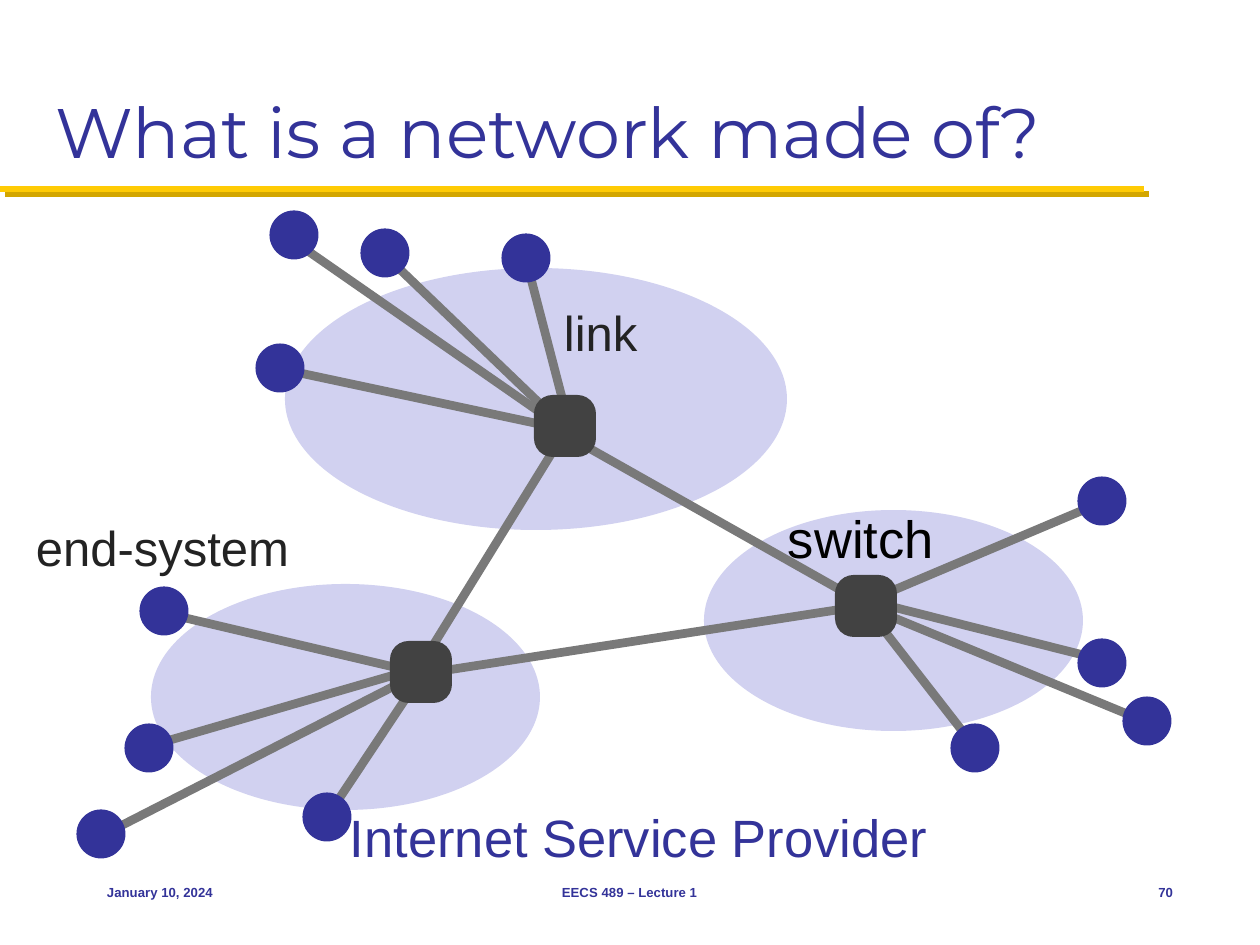
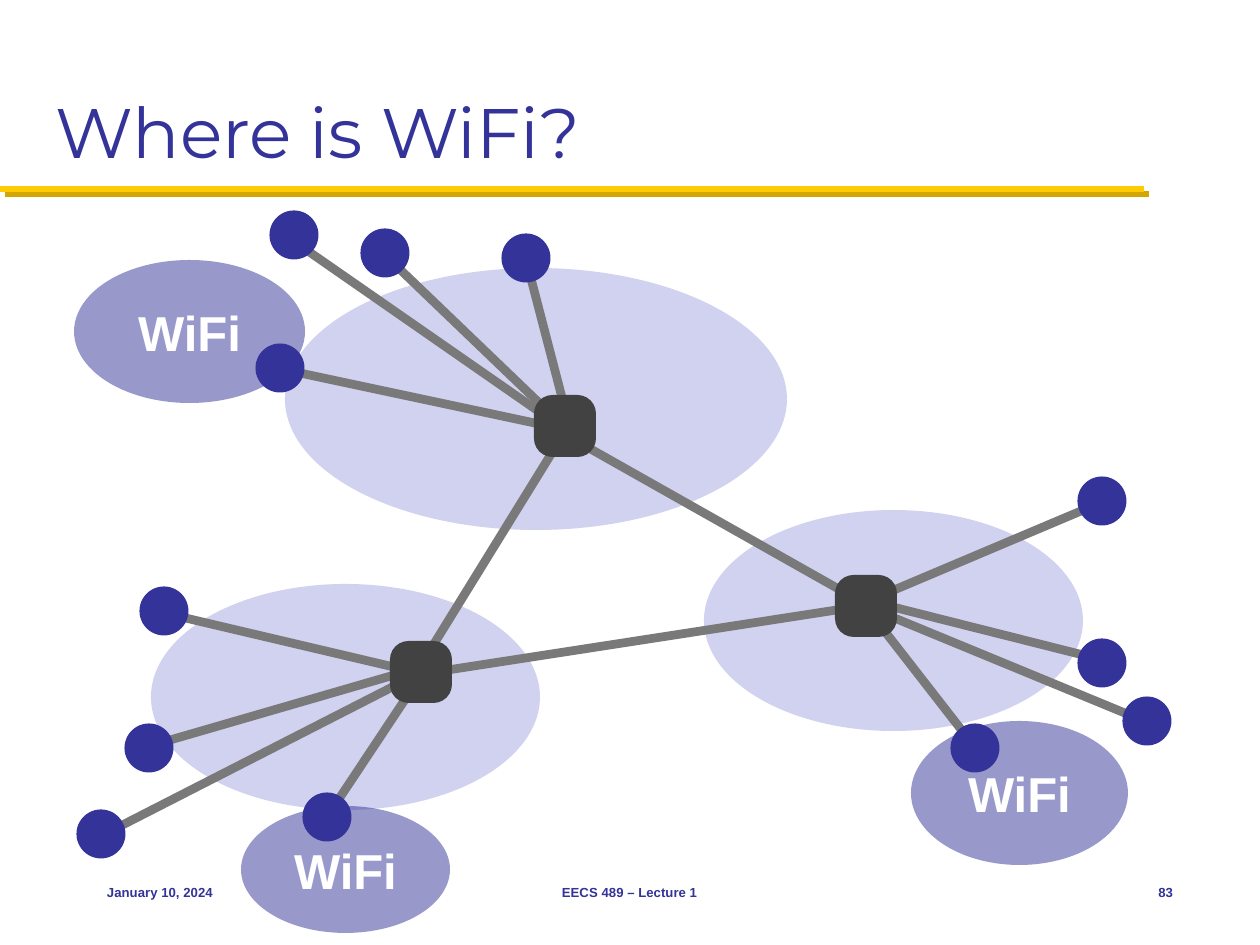
from lxml import etree
from pptx import Presentation
from pptx.dml.color import RGBColor
from pptx.enum.shapes import MSO_CONNECTOR, MSO_SHAPE
from pptx.enum.text import MSO_ANCHOR, PP_ALIGN
from pptx.oxml.ns import qn
from pptx.util import Pt

LINE = MSO_CONNECTOR.STRAIGHT
OVAL, ROUND = MSO_SHAPE.OVAL, MSO_SHAPE.ROUNDED_RECTANGLE
LEFT, MID, RIGHT = PP_ALIGN.LEFT, PP_ALIGN.CENTER, PP_ALIGN.RIGHT
CENTER, BOTTOM = MSO_ANCHOR.MIDDLE, MSO_ANCHOR.BOTTOM

COLORS = {"navy": "333399", "cloud": "D1D1F0", "link": "797979",
          "hub": "424242", "gold": "FFCB05", "shade": "D3A600",
          "ink": "232323", "black": "000000", "white": "FFFFFF"}
DOT, HUB = 49, 62

# Each site: cloud box, hub centre, and per end-system its centre
# followed by the two ends of its link
SITES = [
    {"cloud": (704, 510, 379, 221), "hub": (866, 606), "ends": [
        ((1102, 501), (1100, 503, 861, 604)),
        ((1102, 663), (1099, 659, 869, 601)),
        ((1147, 721), (1149, 723, 863, 605)),
        ((975, 748), (974, 746, 869, 611))]},
    {"cloud": (285, 268, 502, 262), "hub": (565, 426), "ends": [
        ((294, 235), (295, 242, 554, 422)),
        ((385, 253), (386, 256, 558, 421)),
        ((526, 258), (528, 267, 571, 432)),
        ((280, 368), (281, 369, 558, 428))]},
    {"cloud": (151, 584, 389, 226), "hub": (421, 672), "ends": [
        ((164, 611), (160, 612, 415, 672)),
        ((149, 748), (146, 747, 415, 669)),
        ((101, 834), (97, 838, 412, 677)),
        ((327, 817), (331, 811, 420, 677))]},
]
TRUNKS = [(557, 430, 867, 605), (566, 430, 421, 665), (869, 605, 422, 674)]

LABELS = [
    ("link", (559, 297, 100, 69), 28, "ink"),
    ("switch", (783, 501, 180, 73), 30, "black"),
    ("end-system", (31, 512, 287, 69), 28, "ink"),
    ("Internet Service Provider", (345, 800, 606, 73), 30, "navy"),
]
SPOTS = [(241, 806, 209, 127), (911, 721, 217, 144), (74, 260, 231, 143)]
SLIDES = [
    {"title": "What is a network made of?", "page": "70", "labels": LABELS},
    {"title": "Where is WiFi?", "page": "83", "spots": SPOTS},
]


def px(n):
    return round(n * 914400 / 126)


def rgb(name):
    return RGBColor.from_string(COLORS[name])


def write(shape, text, size=28, color="navy", font="Arial", bold=False,
          align=LEFT, anchor=CENTER, pad=(5, 5)):
    frame = shape.text_frame
    frame.word_wrap = True
    frame.vertical_anchor = anchor
    frame.margin_left = frame.margin_right = px(pad[0])
    frame.margin_top = frame.margin_bottom = px(pad[1])
    para = frame.paragraphs[0]
    para.alignment = align
    run = para.add_run()
    run.text = text
    run.font.name, run.font.size, run.font.bold = font, Pt(size), bold
    run.font.color.rgb = rgb(color)


def add_text(slide, text, box, **style):
    write(slide.shapes.add_textbox(*map(px, box)), text, **style)


def add_shape(slide, kind, box, color, alpha=None):
    shape = slide.shapes.add_shape(kind, *map(px, box))
    shape.shadow.inherit = False
    shape.fill.solid()
    shape.fill.fore_color.rgb = rgb(color)
    shape.line.fill.background()
    if alpha:
        tone = shape.fill._xPr.find(".//" + qn("a:srgbClr"))
        etree.SubElement(tone, qn("a:alpha"), val=str(alpha * 1000))
    return shape


def add_line(slide, ends, color="link", width=5):
    line = slide.shapes.add_connector(LINE, *map(px, ends))
    line.line.color.rgb = rgb(color)
    line.line.width = Pt(width)
    return etree.SubElement(line._element.spPr, qn("a:effectLst"))


def around(point, size):
    x, y = point
    return x - size / 2, y - size / 2, size, size


def add_frame(slide, title, page):
    # Gold rule with a hard shadow to the lower right
    effects = add_line(slide, (0, 189, 1144, 189), "gold", 3.5)
    shadow = etree.SubElement(effects, qn("a:outerShdw"), dist=str(Pt(4.2)),
                              dir="2700000", algn="ctr", rotWithShape="0")
    etree.SubElement(shadow, qn("a:srgbClr"), val=COLORS["shade"])
    # Title and footer
    add_text(slide, title, (42, 21, 1176, 158), size=40, font="Montserrat",
             anchor=BOTTOM, pad=(13, 6))
    for text, x, width, align in [("January 10, 2024", 94, 262, LEFT),
                                  ("EECS 489 – Lecture 1", 430, 399, MID),
                                  (page, 1102, 84, RIGHT)]:
        add_text(slide, text, (x, 861, width, 63), size=7.5, bold=True,
                 align=align, pad=(13, 6))


def add_net(slide):
    # Clouds lie below all links, links below all nodes
    for site in SITES:
        add_shape(slide, OVAL, site["cloud"], "cloud")
    ends = [end for site in SITES for end in site["ends"]]
    for link in [link for _, link in ends] + TRUNKS:
        add_line(slide, link)
    for site in SITES:
        hub = add_shape(slide, ROUND, around(site["hub"], HUB), "hub")
        hub.adjustments[0] = 0.3
    for point, _ in ends:
        add_shape(slide, OVAL, around(point, DOT), "navy")


def main():
    deck = Presentation()
    deck.slide_width, deck.slide_height = px(1260), px(945)
    for page in SLIDES:
        slide = deck.slides.add_slide(deck.slide_layouts[6])
        add_frame(slide, page["title"], page["page"])
        add_net(slide)
        for text, box, size, color in page.get("labels", []):
            add_text(slide, text, box, size=size, color=color)
        for box in page.get("spots", []):
            spot = add_shape(slide, OVAL, box, "navy", alpha=50)
            write(spot, "WiFi", color="white", bold=True, align=MID,
                  pad=(0, 0))
    deck.save("out.pptx")


if __name__ == "__main__":
    main()
